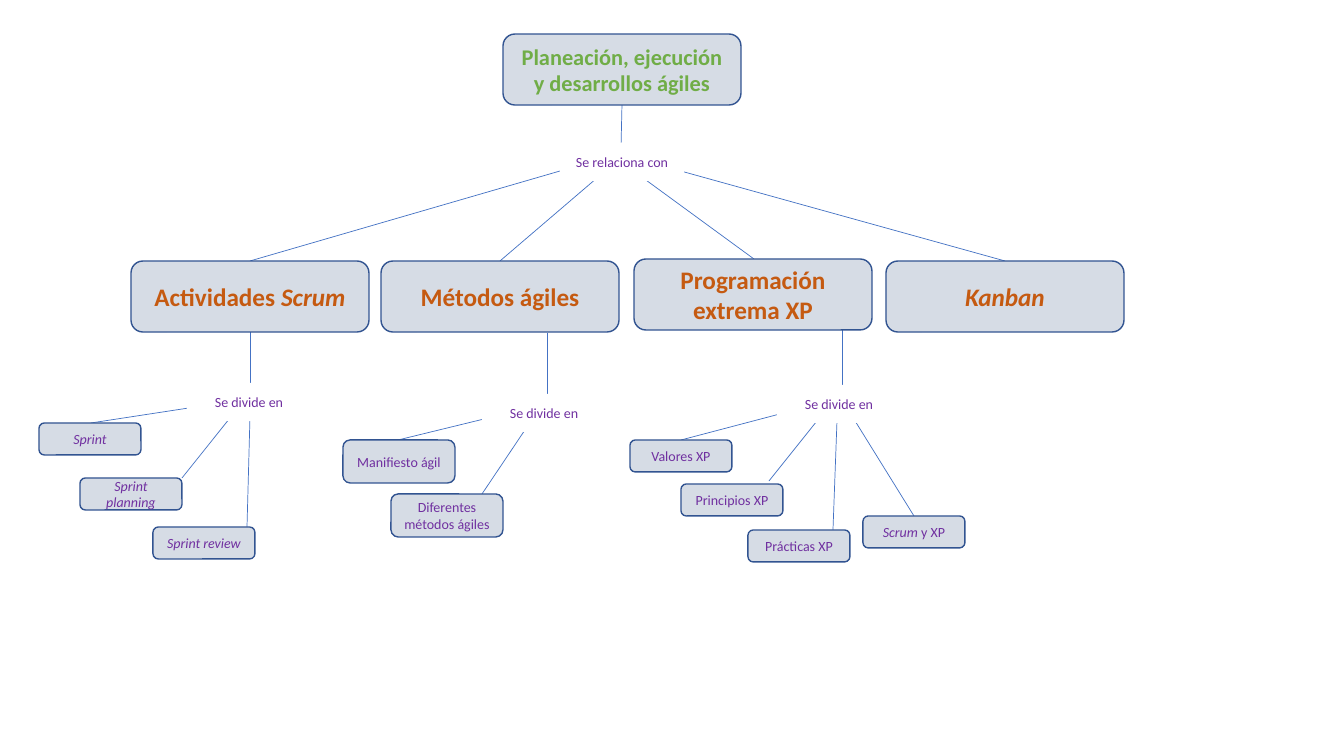
import pptx
import pptx.util
import pptx.dml.color
import pptx.enum.shapes
import pptx.enum.text
import pptx.oxml

WHITE = pptx.dml.color.RGBColor(0xFF, 0xFF, 0xFF)
PALE = pptx.dml.color.RGBColor(0xD6, 0xDC, 0xE5)
NAVY = pptx.dml.color.RGBColor(0x32, 0x54, 0x91)
BLUE = pptx.dml.color.RGBColor(0x44, 0x72, 0xC4)
GREEN = pptx.dml.color.RGBColor(0x70, 0xAD, 0x47)
ORANGE = pptx.dml.color.RGBColor(0xC5, 0x5A, 0x11)
PURPLE = pptx.dml.color.RGBColor(0x70, 0x30, 0xA0)
EFFECTS = '<a:effectLst xmlns:a="http://schemas.openxmlformats.org/drawingml/2006/main"/>'


def emu(pixels):
    return round(pixels * 914400 / 100.8)


def write_text(shape, text, size=10, color=PURPLE, bold=False, font="Calibri"):
    frame = shape.text_frame
    frame.word_wrap = True
    frame.vertical_anchor = pptx.enum.text.MSO_ANCHOR.MIDDLE
    para = frame.paragraphs[0]
    para.alignment = pptx.enum.text.PP_ALIGN.CENTER
    for index, part in enumerate(text.split("*")):
        if part:
            span = para.add_run()
            span.text = part
            span.font.name = font
            span.font.size = pptx.util.Pt(size)
            span.font.bold = bold
            span.font.italic = index % 2 == 1
            span.font.color.rgb = color


class ConceptMap:
    def __init__(self, page):
        self.page = page

    def link(self, *ends):
        line = self.page.shapes.add_connector(
            pptx.enum.shapes.MSO_CONNECTOR.STRAIGHT, *map(emu, ends))
        line.line.color.rgb = BLUE
        line.line.width = pptx.util.Pt(0.5)
        line._element.spPr.append(pptx.oxml.parse_xml(EFFECTS))

    def box(self, text, left, top, width, height, fill=PALE, outlined=True, **style):
        box = self.page.shapes.add_shape(
            pptx.enum.shapes.MSO_SHAPE.ROUNDED_RECTANGLE,
            *map(emu, (left, top, width, height)))
        box.shadow.inherit = False
        box.fill.solid()
        box.fill.fore_color.rgb = fill
        if outlined:
            box.line.color.rgb = NAVY
            box.line.width = pptx.util.Pt(1)
        else:
            box.line.fill.background()
        write_text(box, text, **style)

    def label(self, text, left, top):
        self.box(text, left, top, 124, 38, fill=WHITE, outlined=False)


LINKS = [
    (622, 105, 621, 149), (598, 160, 250, 261), (641, 160, 1005, 261),
    (604, 172, 500, 261), (635, 172, 754, 259),
    (250, 332, 250, 386), (228, 402, 91, 423), (234, 413, 182, 478), (250, 417, 247, 527),
    (547, 333, 547, 394), (525, 409, 398, 440), (531, 421, 482, 494),
    (842, 328, 842, 389), (814, 405, 681, 440), (821, 416, 769, 481),
    (837, 421, 833, 530), (852, 416, 914, 516),
]
BRANCHES = [
    ("Actividades *Scrum*", 131, 261), ("Métodos ágiles", 381, 261),
    ("Programación extrema XP", 634, 259), ("*Kanban*", 886, 261),
]
SMALL_TOPICS = [
    ("*Sprint*", 39, 423), ("*Sprint planning*", 80, 478), ("*Sprint review*", 153, 527),
    ("Valores XP", 630, 440), ("Principios XP", 681, 484),
    ("Prácticas XP", 748, 530), ("*Scrum* y XP", 863, 516),
]
LARGE_TOPICS = [("Manifiesto ágil", 343, 440), ("Diferentes métodos ágiles", 391, 494)]
LABELS = [
    ("Se relaciona con", 560, 143), ("Se divide en", 187, 383),
    ("Se divide en", 482, 394), ("Se divide en", 777, 385),
]

deck = pptx.Presentation()
deck.slide_width, deck.slide_height = emu(1344), emu(756)
concept_map = ConceptMap(deck.slides.add_slide(deck.slide_layouts[6]))

for ends in LINKS:
    concept_map.link(*ends)
concept_map.box("Planeación, ejecución y desarrollos ágiles", 503, 34, 238, 71,
                size=16, color=GREEN, bold=True)
for branch in BRANCHES:
    concept_map.box(*branch, 238, 71, size=18, color=ORANGE, bold=True)
for topic in SMALL_TOPICS:
    concept_map.box(*topic, 102, 32)
for topic in LARGE_TOPICS:
    concept_map.box(*topic, 112, 43)
for label in LABELS:
    concept_map.label(*label)

deck.save("out.pptx")
